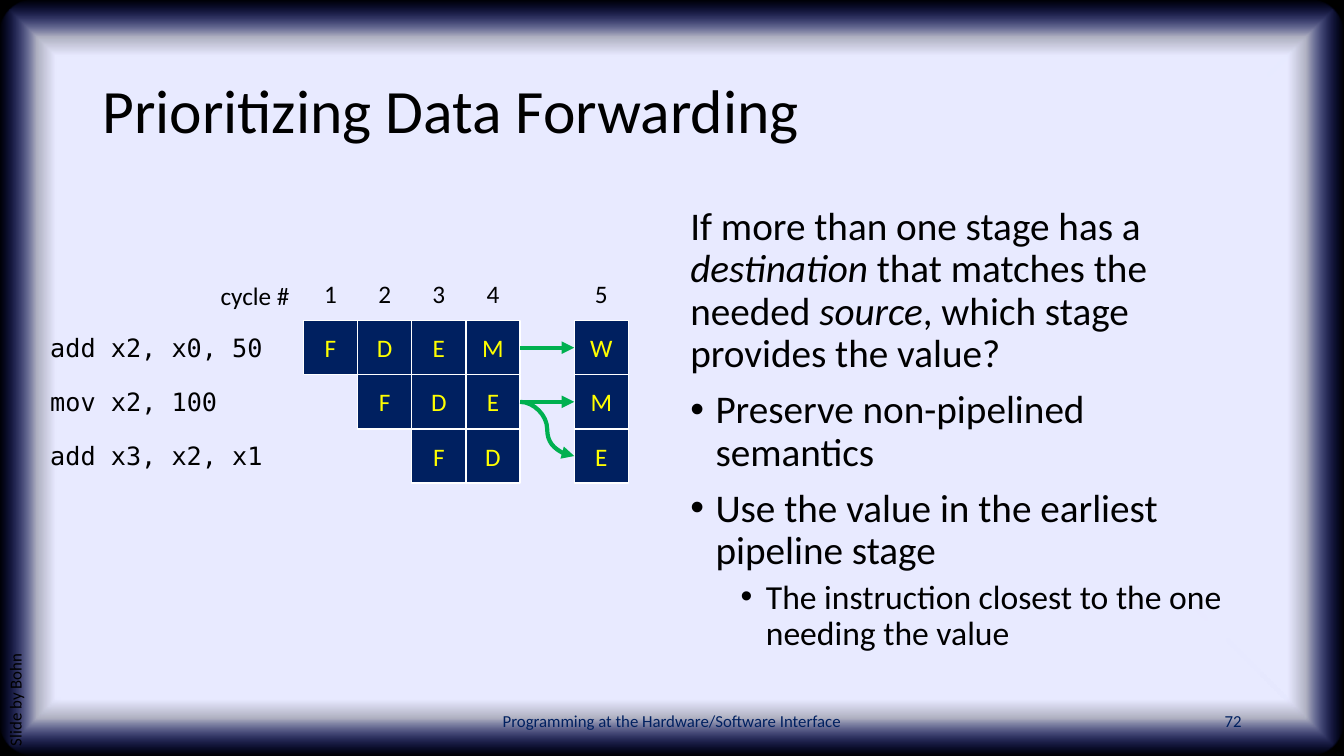
"""Build a slide on prioritizing data forwarding in a pipeline."""
from lxml.etree import SubElement
from pptx import Presentation
from pptx.dml.color import RGBColor
from pptx.enum.shapes import MSO_CONNECTOR as CONNECTOR, MSO_SHAPE as SHAPE
from pptx.enum.text import MSO_ANCHOR as ANCHOR, PP_ALIGN as ALIGN
from pptx.oxml import parse_xml
from pptx.oxml.ns import nsdecls, qn
from pptx.util import Pt

color = RGBColor.from_string
BLACK, NAVY, YELLOW, WHITE, GREEN = "000000", "002060", "FFFF00", "FFFFFF", "00B050"


def write(paragraph, text, size, hex_color=BLACK, font="Calibri", italic=False):
    run = paragraph.add_run()
    run.text = text
    run.font.size = Pt(size)
    run.font.name = font
    run.font.italic = italic
    run.font.color.rgb = color(hex_color)


def add_box(left, top, width, height, anchor=ANCHOR.MIDDLE, align=ALIGN.LEFT, wrap=True):
    box = slide.shapes.add_textbox(Pt(left), Pt(top), Pt(width), Pt(height))
    box.text_frame.word_wrap = wrap
    box.text_frame.vertical_anchor = anchor
    box.text_frame.paragraphs[0].alignment = align
    return box


presentation = Presentation()
presentation.slide_width, presentation.slide_height = Pt(960), Pt(540)
slide = presentation.slides.add_slide(presentation.slide_layouts[6])
slide.background.fill.solid()
slide.background.fill.fore_color.rgb = color(BLACK)

panel = slide.shapes.add_shape(SHAPE.ROUNDED_RECTANGLE, 0, 0, Pt(960), Pt(540))
panel.adjustments[0] = 0.048
panel.shadow.inherit = False
panel.line.fill.background()
gradient = parse_xml(
    f'<a:gradFill {nsdecls("a")} rotWithShape="1"><a:gsLst>'
    '<a:gs pos="85000"><a:srgbClr val="E8EAFF"/></a:gs>'
    '<a:gs pos="90000"><a:srgbClr val="E8EAFF"><a:alpha val="75000"/></a:srgbClr></a:gs>'
    '<a:gs pos="100000"><a:srgbClr val="162AFF"><a:alpha val="0"/></a:srgbClr></a:gs>'
    '</a:gsLst><a:path path="shape">'
    '<a:fillToRect l="50000" t="50000" r="50000" b="50000"/></a:path></a:gradFill>')
panel.element.spPr.find(qn("a:prstGeom")).addnext(gradient)

title = add_box(66, 28.8, 828, 104.4).text_frame.paragraphs[0]
title.line_spacing = 0.9
write(title, "Prioritizing Data Forwarding", 44)

body = add_box(486, 144, 408, 342.7, ANCHOR.TOP).text_frame
question = body.paragraphs[0]
question.line_spacing = 0.9
question.space_before = Pt(10)
for text, italic in [("If more than one stage has a ", False), ("destination", True),
                     (" that matches the needed ", False), ("source", True),
                     (", which stage provides the value?", False)]:
    write(question, text, 28, italic=italic)

for text, level, size, indent, space in [
        ("Preserve non-pipelined semantics", 0, 28, 18, 10),
        ("Use the value in the earliest pipeline stage", 0, 28, 18, 10),
        ("The instruction closest to the one needing the value", 1, 24, 54, 5)]:
    paragraph = body.add_paragraph()
    paragraph.level = level
    paragraph.line_spacing = 0.9
    paragraph.space_before = Pt(space)
    properties = paragraph._p.get_or_add_pPr()
    properties.set("marL", str(Pt(indent)))
    properties.set("indent", str(-Pt(18)))
    SubElement(properties, qn("a:buFont")).set("typeface", "Arial")
    SubElement(properties, qn("a:buChar")).set("char", "•")
    write(paragraph, text, size)

footer = add_box(318, 500.5, 324, 28.8, align=ALIGN.CENTER)
write(footer.text_frame.paragraphs[0], "Programming at the Hardware/Software Interface", 12, NAVY)
number = add_box(678, 500.5, 216, 28.8, align=ALIGN.RIGHT)
write(number.text_frame.paragraphs[0], "72", 12, NAVY)
credit = add_box(-175.7, 335.5, 380.2, 28.8, ANCHOR.TOP)
credit.rotation = 270
write(credit.text_frame.paragraphs[0], "Slide by Bohn", 12)

CELL, GRID_LEFT, GRID_TOP = 38.7, 216.7, 229
column_slots = [0, 1, 2, 3, 5]
instructions = [("add x2, x0, 50", "FDEMW", 168.5),
                ("mov x2, 100", "FDEM", 135.4),
                ("add x3, x2, x1", "FDE", 168.5)]
stages = {}
for row, (instruction, letters, width) in enumerate(instructions):
    top = GRID_TOP + row * CELL
    label = add_box(28.8, top + 4.8, width, 29, ANCHOR.TOP, wrap=False)
    write(label.text_frame.paragraphs[0], instruction, 18, font="DejaVu Sans Mono")
    for cycle, letter in enumerate(letters, start=row):
        stage = slide.shapes.add_shape(
            SHAPE.RECTANGLE, Pt(GRID_LEFT + column_slots[cycle] * CELL), Pt(top),
            Pt(CELL), Pt(CELL))
        stage.shadow.inherit = False
        stage.fill.solid()
        stage.fill.fore_color.rgb = color(NAVY)
        stage.line.color.rgb = color(WHITE)
        stage.line.width = Pt(1)
        stage.text_frame.vertical_anchor = ANCHOR.MIDDLE
        paragraph = stage.text_frame.paragraphs[0]
        paragraph.alignment = ALIGN.CENTER
        write(paragraph, letter, 18, YELLOW)
        stages[row, cycle] = stage

for cycle, slot in enumerate(column_slots, start=1):
    heading = add_box(GRID_LEFT + slot * CELL, GRID_TOP - CELL, CELL, CELL, align=ALIGN.CENTER)
    write(heading.text_frame.paragraphs[0], str(cycle), 18)
cycle_label = add_box(150.5, 196.6, 66.2, 29, ANCHOR.TOP, wrap=False)
write(cycle_label.text_frame.paragraphs[0], "cycle #", 18)

for kind, source_row, target_row in [(CONNECTOR.CURVE, 1, 2), (CONNECTOR.STRAIGHT, 0, 0),
                                     (CONNECTOR.STRAIGHT, 1, 1)]:
    arrow = slide.shapes.add_connector(kind, 0, 0, 0, 0)
    arrow.begin_connect(stages[source_row, 3], 3)
    arrow.end_connect(stages[target_row, 4], 1)
    arrow.line.color.rgb = color(GREEN)
    arrow.line.width = Pt(3)
    SubElement(arrow.line._get_or_add_ln(), qn("a:tailEnd")).set("type", "triangle")
    SubElement(arrow.element.spPr, qn("a:effectLst"))

presentation.save("out.pptx")
